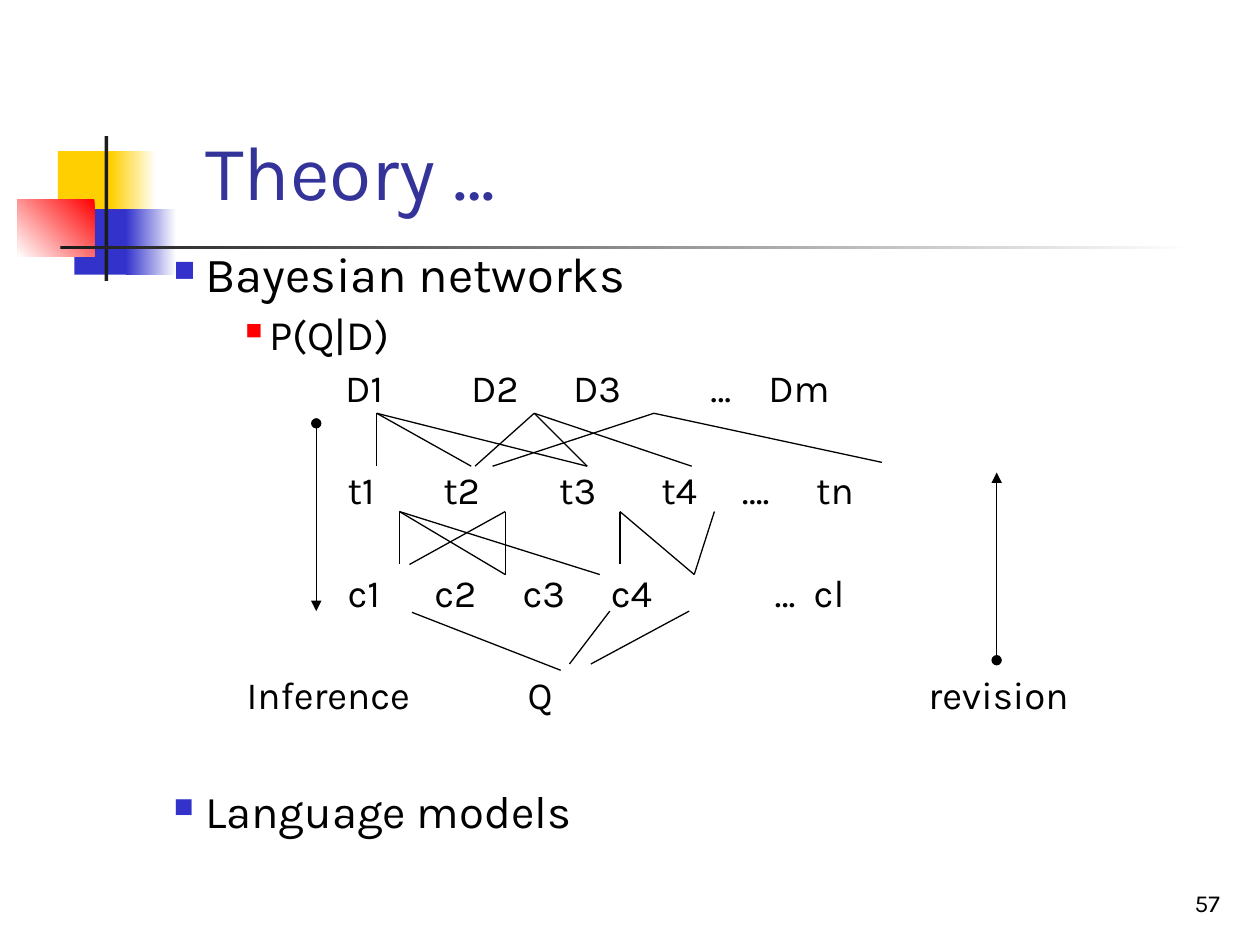
from pptx import Presentation
from pptx.dml.color import RGBColor
from pptx.enum.shapes import MSO_CONNECTOR, MSO_SHAPE
from pptx.enum.text import MSO_ANCHOR as Anchor, PP_ALIGN as Align
from pptx.oxml.ns import qn
from pptx.oxml.xmlchemy import OxmlElement
from pptx.util import Inches, Pt

BLACK, WHITE, DARK = "000000", "FFFFFF", "1C1C1C"
YELLOW, BLUE, RED, NAVY = "FFCF01", "3333CC", "FF0000", "333399"

# left, top, width, height, colour, direction of the fade to white (None: solid)
ORNAMENTS = [
    (0.46, 1.2, 0.48, 0.52, YELLOW, None),
    (0.88, 1.2, 0.36, 0.52, YELLOW, 0),
    (0.59, 1.66, 0.46, 0.52, BLUE, None),
    (1, 1.66, 0.4, 0.52, BLUE, 0),
    (0.14, 1.58, 0.61, 0.46, RED, 225),
    (0.83, 1.08, 0.03, 1.15, DARK, None),
    (0.48, 1.95, 9, 0.03, DARK, 0),
]

# space before, labels, tab stops
NETWORK_ROWS = [
    (5.5, ["D1", "D2", "D3", "…", "Dm"], [1.42, 2.42, 3.23, 4.32, 4.78]),
    (34.8, ["t1", "t2", "t3", "t4", "….", "tn"], [1.44, 2.2, 3.12, 3.93, 4.57, 5.16]),
    (34.8, ["c1", "c2", "c3", "c4", "…", "cl"], [1.44, 2.13, 2.83, 3.53, 4.83, 5.14]),
    (34.8, ["Inference", "Q", "revision"], [0.64, 2.87, 6.05]),
]

NETWORK_LINKS = {
    (2.99, 3.28): [(2.99, 3.7), (3.74, 3.7), (4.66, 3.7)],
    (4.24, 3.28): [(3.77, 3.7), (4.66, 3.7), (5.49, 3.7)],
    (5.19, 3.28): [(3.91, 3.7), (7, 3.67)],
    (3.17, 4.06): [(3.17, 4.48), (4.01, 4.56), (4.76, 4.56)],
    (4.01, 4.06): [(3.25, 4.48), (4.01, 4.56)],
    (4.92, 4.06): [(4.92, 4.48), (5.51, 4.56)],
    (5.67, 4.06): [(5.51, 4.56)],
    (3.27, 4.86): [(4.45, 5.32)],
    (4.84, 4.85): [(4.52, 5.27)],
    (5.47, 4.85): [(4.69, 5.27)],
}


def colour(value):
    return RGBColor.from_string(value)


def add_element(parent, tag, **attributes):
    child = OxmlElement(tag)
    for name, value in attributes.items():
        child.set(name, str(value))
    parent.append(child)
    return child


class Painter:
    font = "Karla"
    line_width = Pt(0.75)

    def __init__(self, page):
        self.page = page

    def block(self, left, top, width, height, fill, fade):
        """Add a borderless rectangle, solid or fading to white."""
        shape = self.page.shapes.add_shape(
            MSO_SHAPE.RECTANGLE, *map(Inches, (left, top, width, height)))
        shape.shadow.inherit = False
        shape.line.fill.background()
        if fade is None:
            shape.fill.solid()
            shape.fill.fore_color.rgb = colour(fill)
            return
        shape.fill.gradient()
        shape.fill.gradient_angle = fade
        for stop, value in zip(shape.fill.gradient_stops, (fill, WHITE)):
            stop.color.rgb = colour(value)

    def text_box(self, left, top, width, height, anchor=Anchor.TOP):
        box = self.page.shapes.add_textbox(*map(Inches, (left, top, width, height)))
        box.text_frame.word_wrap = True
        box.text_frame.vertical_anchor = anchor
        return box.text_frame

    def add_text(self, para, text, size, fill=BLACK, **layout):
        for name, value in layout.items():
            setattr(para, name, value)
        span = para.add_run()
        span.text = text
        for name, value in {"name": self.font, "size": Pt(size)}.items():
            setattr(span.font, name, value)
        span.font.color.rgb = colour(fill)

    def bullet(self, para, text, size, mark, mark_size, margin, hanging, before):
        properties = para._p.get_or_add_pPr()
        properties.set("marL", str(Inches(margin)))
        properties.set("indent", str(-Inches(hanging)))
        add_element(add_element(properties, "a:buClr"), "a:srgbClr", val=mark)
        add_element(properties, "a:buSzPct", val=mark_size * 1000)
        add_element(properties, "a:buChar", char="■")
        self.add_text(para, text, size, line_spacing=0.9, space_before=Pt(before))

    def tabbed_row(self, para, labels, stops, before):
        """Set labels at left tab stops measured from the text edge."""
        tabs = add_element(para._p.get_or_add_pPr(), "a:tabLst")
        for stop in stops:
            add_element(tabs, "a:tab", pos=Inches(stop), algn="l")
        text = "".join("\t" + label for label in labels)
        self.add_text(para, text, 22, line_spacing=0.9, space_before=Pt(before))

    def line(self, start, end, arrow=False):
        connector = self.page.shapes.add_connector(
            MSO_CONNECTOR.STRAIGHT, *map(Inches, (*start, *end)))
        connector.line.color.rgb = colour(BLACK)
        connector.line.width = self.line_width
        properties = connector._element.spPr
        if arrow:
            outline = properties.find(qn("a:ln"))
            add_element(outline, "a:headEnd", type="oval")
            add_element(outline, "a:tailEnd", type="triangle")
        add_element(properties, "a:effectLst")


def main():
    deck = Presentation()
    deck.slide_width, deck.slide_height = Inches(10), Inches(7.5)
    painter = Painter(deck.slides.add_slide(deck.slide_layouts[6]))

    for ornament in ORNAMENTS:
        painter.block(*ornament)

    number = painter.text_box(7.7, 6.83, 2.08, 0.5, Anchor.BOTTOM)
    painter.add_text(number.paragraphs[0], "57", 14, alignment=Align.RIGHT)
    title = painter.text_box(1.53, 0.84, 7.78, 0.92, Anchor.BOTTOM)
    painter.add_text(title.paragraphs[0], "Theory …", 44, NAVY)

    body = painter.text_box(1.22, 1.94, 8.5, 5.67)
    painter.bullet(body.paragraphs[0], "Bayesian networks", 28, BLUE, 60, 0.31, 0.25, 0)
    painter.bullet(body.add_paragraph(), "P(Q|D)", 24, RED, 55, 0.82, 0.19, 6)
    for before, labels, stops in NETWORK_ROWS:
        painter.tabbed_row(body.add_paragraph(), labels, stops, before)
    painter.bullet(body.add_paragraph(), "Language models", 26, BLUE, 60, 0.31, 0.25, 41)

    for start, ends in NETWORK_LINKS.items():
        for end in ends:
            painter.line(start, end)
    painter.line((2.51, 3.36), (2.51, 4.85), arrow=True)
    painter.line((7.91, 5.24), (7.91, 3.75), arrow=True)

    deck.save("out.pptx")


if __name__ == "__main__":
    main()
